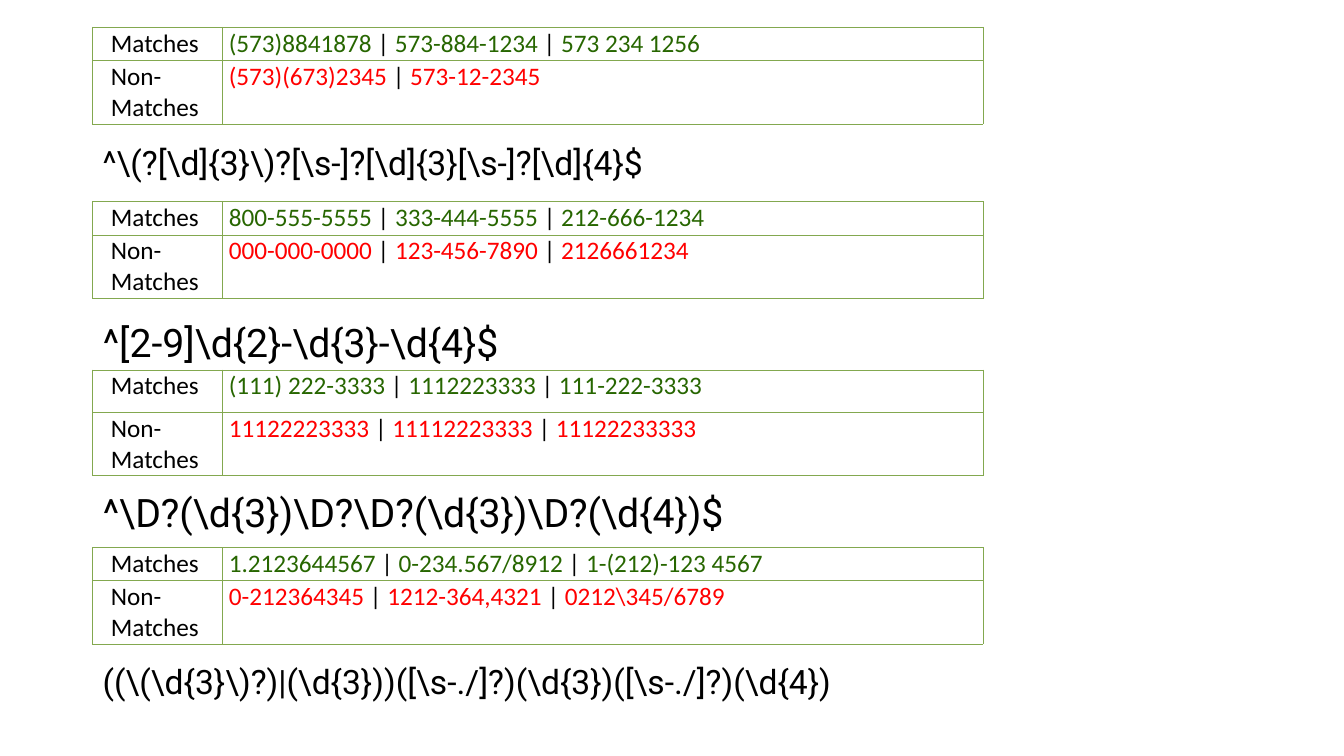
from lxml import etree
from pptx import Presentation
from pptx import util as u
from pptx.dml.color import RGBColor
from pptx.enum import text
from pptx.oxml.ns import qn

BLACK, WHITE, GREEN, RED, BORDER = "000000", "FFFFFF", "276600", "FF0000", "83A84F"
LEFT = 0.92
COLUMNS = (1.29, 7.54)

# Example tables: top, row heights, matches, non-matches
EXAMPLES = [
    (0.27, (0.33, 0.62),
     ["(573)8841878", "573-884-1234", "573 234 1256"],
     ["(573)(673)2345", "573-12-2345"]),
    (2.0, (0.33, 0.62),
     ["800-555-5555", "333-444-5555", "212-666-1234"],
     ["000-000-0000", "123-456-7890", "2126661234"]),
    (3.67, (0.42, 0.62),
     ["(111) 222-3333", "1112223333", "111-222-3333"],
     ["11122223333", "11112223333", "11122233333"]),
    (5.43, (0.33, 0.62),
     ["1.2123644567", "0-234.567/8912", "1-(212)-123 4567"],
     ["0-212364345", "1212-364,4321", "0212\\345/6789"]),
]

# Patterns in the body, then those in their own boxes: top, width, pattern
BODY_PATTERNS = [r"^[2-9]\d{2}-\d{3}-\d{4}$", r"^\D?(\d{3})\D?\D?(\d{3})\D?(\d{4})$"]
BOX_PATTERNS = [
    (1.36, 6.67, r"^\(?[\d]{3}\)?[\s-]?[\d]{3}[\s-]?[\d]{4}$"),
    (6.51, 8.83, r"((\(\d{3}\)?)|(\d{3}))([\s-./]?)(\d{3})([\s-./]?)(\d{4})"),
]


def color(value):
    return RGBColor.from_string(value)


def set_attributes(target, values):
    for name, value in values.items():
        setattr(target, name, value)


def add_span(para, words, font, size, ink):
    span = para.add_run()
    span.text = words
    set_attributes(span.font, {"name": font, "size": u.Pt(size)})
    span.font.color.rgb = color(ink)


def format_cell(cell, left_margin):
    set_attributes(cell, {
        "margin_left": u.Inches(left_margin), "margin_right": u.Inches(0.06),
        "margin_top": u.Inches(0.01), "margin_bottom": u.Inches(0.01),
    })
    properties = cell._tc.get_or_add_tcPr()
    for side in ("lnL", "lnR", "lnT", "lnB"):
        line = etree.SubElement(properties, qn("a:" + side), w=str(u.Pt(0.5)))
        fill = etree.SubElement(line, qn("a:solidFill"))
        etree.SubElement(fill, qn("a:srgbClr"), val=BORDER)
    cell.fill.solid()
    cell.fill.fore_color.rgb = color(WHITE)


def add_examples(page, top, heights, matches, non_matches):
    frame = page.shapes.add_table(2, 2, u.Inches(LEFT), u.Inches(top),
                                  u.Inches(sum(COLUMNS)), u.Inches(sum(heights)))
    table = frame.table
    set_attributes(table, {"first_row": False, "horz_banding": False})
    for column, width in zip(table.columns, COLUMNS):
        column.width = u.Inches(width)
    rows = [("Matches", matches, GREEN), ("Non-Matches", non_matches, RED)]
    for index, (label, numbers, ink) in enumerate(rows):
        table.rows[index].height = u.Inches(heights[index])
        label_cell, number_cell = table.cell(index, 0), table.cell(index, 1)
        format_cell(label_cell, 0.18)
        format_cell(number_cell, 0.06)
        add_span(label_cell.text_frame.paragraphs[0], label, "Calibri", 18, BLACK)
        para = number_cell.text_frame.paragraphs[0]
        for position, number in enumerate(numbers):
            if position:
                add_span(para, " | ", "Calibri", 18, BLACK)
            add_span(para, number, "Calibri", 18, ink)


deck = Presentation()
deck.slide_width, deck.slide_height = u.Inches(13.33), u.Inches(7.5)
page = deck.slides.add_slide(deck.slide_layouts[1])
title = page.shapes.title._element
title.getparent().remove(title)

# Body with the two patterns that sit between tables
body = page.placeholders[1]
set_attributes(body, {"left": u.Inches(LEFT), "top": u.Inches(2),
                      "width": u.Inches(11.5), "height": u.Inches(4.76)})
set_attributes(body.text_frame, {"margin_top": u.Inches(1.21), "word_wrap": True,
                                 "auto_size": text.MSO_AUTO_SIZE.NONE,
                                 "vertical_anchor": text.MSO_ANCHOR.TOP})
for index, pattern in enumerate(BODY_PATTERNS):
    para = body.text_frame.add_paragraph() if index else body.text_frame.paragraphs[0]
    set_attributes(para, {"line_spacing": 0.9, "space_before": u.Pt(91 * index)})
    properties = para._p.get_or_add_pPr()
    properties.set("marL", "0")
    properties.set("indent", "0")
    etree.SubElement(properties, qn("a:buNone"))
    add_span(para, pattern, "Roboto", 28, BLACK)

# Tables of examples
for example in EXAMPLES:
    add_examples(page, *example)

# Patterns in their own boxes
for top, width, pattern in BOX_PATTERNS:
    box = page.shapes.add_textbox(u.Inches(LEFT), u.Inches(top), u.Inches(width), u.Inches(0.5))
    set_attributes(box.text_frame, {"word_wrap": True,
                                    "auto_size": text.MSO_AUTO_SIZE.SHAPE_TO_FIT_TEXT})
    add_span(box.text_frame.paragraphs[0], pattern, "Roboto", 24, BLACK)

deck.save("out.pptx")
